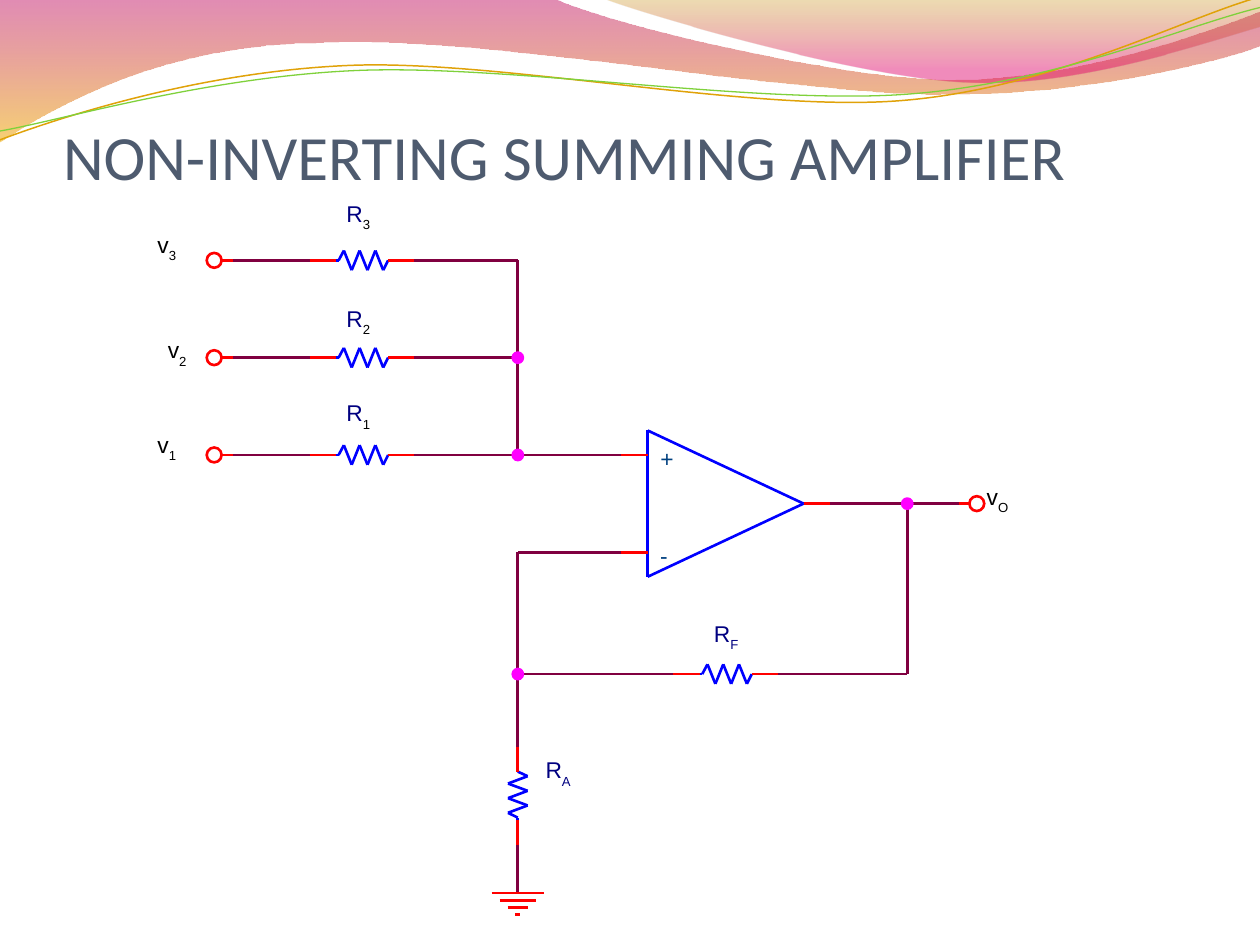
import math
from itertools import pairwise

from lxml import etree
from pptx import Presentation
from pptx import util as u
from pptx.dml.color import RGBColor
from pptx.enum import shapes, text
from pptx.oxml.ns import qn

SLATE = RGBColor(0x4E, 0x5B, 0x6F)
WIRE = RGBColor(0x80, 0x00, 0x40)
RED = RGBColor(0xFF, 0x00, 0x00)
BLUE = RGBColor(0x00, 0x00, 0xFF)
MAGENTA = RGBColor(0xFF, 0x00, 0xFF)
NAVY = RGBColor(0x00, 0x00, 0x80)
TEAL = RGBColor(0x00, 0x40, 0x80)
BLACK = RGBColor(0x00, 0x00, 0x00)
CRIMSON = RGBColor(0xBD, 0x00, 0x59)
AMBER = RGBColor(0xF0, 0xAB, 0x00)
OCHRE = RGBColor(0xC3, 0x8B, 0x00)
PINK = RGBColor(0xE1, 0x00, 0x6B)
GOLD = RGBColor(0xE0, 0xA2, 0x09)
GREEN = RGBColor(0x7F, 0xD1, 0x3B)

# Circuit grid, in points
ROW = 55.6
ROW_3, ROW_2, ROW_1, ROW_MINUS = (148.8 + ROW * step for step in range(4))
ROW_OUT = (ROW_1 + ROW_MINUS) / 2
ROW_FEEDBACK, ROW_GROUND = 385.2, 510.4
NODE, AMP_IN, AMP_OUT, OUTPUT = 295.9, 370.1, 459.2, 518.4
LEAD, RESISTOR, RING = 15, 59.8, 8.5
TILT = -2.7


def turn(point, center, degrees):
    """Turn a point clockwise about a center."""
    angle = math.radians(degrees)
    x, y = point[0] - center[0], point[1] - center[1]
    return (center[0] + x * math.cos(angle) - y * math.sin(angle),
            center[1] + x * math.sin(angle) + y * math.cos(angle))


class Circuit:
    font = "Arial"
    size = 13
    weight = 1.5

    def __init__(self, page):
        self.page = page

    def title(self, words):
        box = self.page.shapes.title
        box.left, box.top, box.width, box.height = map(u.Pt, (36, 11.9, 648, 98.6))
        frame = box.text_frame
        frame.auto_size = text.MSO_AUTO_SIZE.NONE
        frame.vertical_anchor = text.MSO_ANCHOR.BOTTOM
        frame.margin_left = frame.margin_right = frame.margin_bottom = 0
        para = frame.paragraphs[0]
        para.alignment = text.PP_ALIGN.LEFT
        self.span(para, words, SLATE, "Calibri", 36)

    def span(self, para, words, color, font=None, size=None):
        span = para.add_run()
        span.text = words
        span.font.name = font or self.font
        span.font.size = u.Pt(size or self.size)
        span.font.color.rgb = color
        return span

    def label(self, x, y, words, color, below="", below_color=None, width=14.5, height=15.8):
        box = self.page.shapes.add_textbox(*map(u.Pt, (x, y, width, height)))
        frame = box.text_frame
        frame.margin_left = frame.margin_top = frame.margin_right = frame.margin_bottom = 0
        frame.word_wrap = False
        frame.auto_size = text.MSO_AUTO_SIZE.SHAPE_TO_FIT_TEXT
        para = frame.paragraphs[0]
        self.span(para, words, color)
        if below:
            span = self.span(para, below, below_color or color)
            span.font._element.set("baseline", "-32000")

    def outline(self, start, segments, closed=False):
        """Draw lines (one point) and cubic curves (three points)."""
        builder = self.page.shapes.build_freeform(*map(u.Pt, start))
        points = [tuple(map(u.Pt, point)) for segment in segments for point in segment]
        builder.add_line_segments(points, close=closed)
        shape = builder.convert_to_shape()
        shape.shadow.inherit = False
        steps = iter(list(shape.element.iter(qn("a:lnTo"))))
        for segment in segments:
            parts = [next(steps) for _ in segment]
            if len(parts) == 3:
                curve = etree.Element(qn("a:cubicBezTo"))
                parts[0].addprevious(curve)
                for part in parts:
                    curve.append(part[0])
                    part.getparent().remove(part)
        return shape

    def band(self, start, segments, stops):
        shape = self.outline(start, segments, closed=True)
        shape.line.fill.background()
        shape.fill.gradient()
        shape.fill.gradient_angle = 270
        for stop, (position, color, _) in zip(shape.fill.gradient_stops, stops):
            stop.position = position
            stop.color.rgb = color
        colors = shape.element.spPr.iter(qn("a:srgbClr"))
        for element, (_, _, opacity) in zip(colors, stops):
            etree.SubElement(element, qn("a:alpha"), val=str(opacity * 1000))

    def ripple(self, center, start, segments, color, weight):
        level = [[turn(point, center, -TILT) for point in segment] for segment in segments]
        shape = self.outline(turn(start, center, -TILT), level)
        shape.rotation = TILT
        shape.fill.background()
        shape.line.color.rgb = color
        shape.line.width = u.Pt(weight)

    def line(self, color, *points):
        for start, end in pairwise(points):
            link = self.page.shapes.add_connector(
                shapes.MSO_CONNECTOR.STRAIGHT, *map(u.Pt, (*start, *end)))
            link.line.color.rgb = color
            link.line.width = u.Pt(self.weight)
            etree.SubElement(link.element.spPr, qn("a:effectLst"))

    def circle(self, x, y, size, color, filled=False):
        shape = self.page.shapes.add_shape(
            shapes.MSO_SHAPE.OVAL, *map(u.Pt, (x - size / 2, y - size / 2, size, size)))
        shape.shadow.inherit = False
        shape.line.color.rgb = color
        shape.line.width = u.Pt(self.weight)
        if filled:
            shape.fill.solid()
            shape.fill.fore_color.rgb = color
        else:
            shape.fill.background()

    def resistor(self, x, y, upward=False):
        def place(along, across):
            return (x + across, y - along * ROW / RESISTOR) if upward else (x + along, y + across)

        peaks = [place(19.5 + 4.5 * peak, 5.6 if peak % 2 else -5.6) for peak in range(6)]
        self.line(RED, place(0, 0), place(LEAD, 0))
        self.line(BLUE, place(LEAD, 0), place(16.5, 0), *peaks, place(RESISTOR - LEAD, 0))
        self.line(RED, place(RESISTOR - LEAD, 0), place(RESISTOR, 0))


def draw_waves(art):
    art.band((0, -0.7), [
        [(316.8, -0.7)],
        [(342.7, 12.2), (478.1, 45.4), (545.8, 45.4)],
        [(614.2, 45.4), (689.8, 18.7), (720, 6.5)],
        [(720.7, 25.9)],
        [(707.8, 31.7), (626.4, 54.7), (537.1, 54)],
        [(447.8, 54), (275, 20.2), (185, 24.5)],
        [(92.9, 25.2), (33.1, 59.8), (-0.7, 81.4)],
    ], [(0, CRIMSON, 45), (1, AMBER, 55)])
    art.band((344.9, -0.7), [
        [(366.5, 7.9), (491, 44.6), (553.7, 46.8)],
        [(616.3, 49.7), (691.9, 23), (720, 15.1)],
        [(720, 0)],
    ], [(0, OCHRE, 30), (0.8, PINK, 45)])
    art.ripple((359.3, 41.4), (0, 79.9), [
        [(34.6, 67), (113.8, 41), (199.4, 37.4)],
        [(284.4, 33.8), (427, 64.1), (513.4, 57.6)],
        [(599.8, 51.1), (675.4, 10.8), (718.6, -1.4)],
    ], GOLD, 0.85)
    art.ripple((359.6, 42.5), (0, 74.9), [
        [(33.8, 69.1), (118.1, 43.9), (203.8, 40.3)],
        [(290.2, 36.7), (429.8, 59.8), (516.2, 54)],
        [(601.9, 48.2), (675.4, 15.1), (720, 4.3)],
    ], GREEN, 0.75)


def draw_circuit(art):
    # Three inputs, each with its terminal and resistor
    inputs = [("3", ROW_3, 90, 131.8, 114.1), ("2", ROW_2, 95.9, 192, 174.2),
              ("1", ROW_1, 90, 246.1, 228)]
    for number, y, voltage_x, voltage_y, name_y in inputs:
        art.circle(122.4, y, RING, RED)
        art.line(RED, (126.7, y), (133.2, y))
        art.line(WIRE, (133.2, y), (177, y))
        art.resistor(177, y)
        art.line(WIRE, (177 + RESISTOR, y), (NODE, y))
        art.label(voltage_x, voltage_y, "v", BLACK, number, width=11.5)
        art.label(198, name_y, "R", NAVY, number, BLACK)
    art.line(WIRE, (NODE, ROW_3), (NODE, ROW_2), (NODE, ROW_1), (AMP_IN - LEAD, ROW_1))

    # Amplifier
    art.line(BLUE, (AMP_IN, ROW_OUT + 41.8), (AMP_OUT, ROW_OUT),
             (AMP_IN, ROW_OUT - 41.8), (AMP_IN, ROW_OUT + 41.8))
    for sign, y, width in (("+", ROW_1, 13.7), ("-", ROW_MINUS, 10.1)):
        art.line(RED, (AMP_IN - LEAD, y), (AMP_IN, y))
        art.label(377.3, y - 5.8, sign, TEAL, width=width, height=20.9)

    # Output
    art.line(RED, (AMP_OUT, ROW_OUT), (AMP_OUT + LEAD, ROW_OUT))
    art.line(WIRE, (AMP_OUT + LEAD, ROW_OUT), (OUTPUT, ROW_OUT), (548, ROW_OUT))
    art.line(RED, (548, ROW_OUT), (553.9, ROW_OUT))
    art.circle(558.2, ROW_OUT, RING, RED)
    art.label(563.8, 275.8, "v", BLACK, "O", width=13.7)

    # Feedback loop
    art.line(WIRE, (AMP_IN - LEAD, ROW_MINUS), (NODE, ROW_MINUS),
             (NODE, ROW_FEEDBACK), (384.8, ROW_FEEDBACK))
    art.resistor(384.8, ROW_FEEDBACK)
    art.line(WIRE, (384.8 + RESISTOR, ROW_FEEDBACK), (OUTPUT, ROW_FEEDBACK), (OUTPUT, ROW_OUT))
    art.label(408, 354.2, "R", NAVY, "F")

    # Branch to ground
    art.line(WIRE, (NODE, ROW_FEEDBACK), (NODE, 427))
    art.resistor(NODE, 427 + ROW, upward=True)
    art.line(WIRE, (NODE, 427 + ROW), (NODE, ROW_GROUND))
    art.label(311.8, 432, "R", NAVY, "A")
    for step, half in enumerate((15, 10.4, 5.8, 1.4)):
        y = ROW_GROUND + 4.1 * step
        art.line(RED, (NODE - half, y), (NODE + half, y))

    # Junctions
    for x, y in ((NODE, ROW_2), (NODE, ROW_1), (NODE, ROW_FEEDBACK), (OUTPUT, ROW_OUT)):
        art.circle(x, y, 5.8, MAGENTA, filled=True)


def main():
    deck = Presentation()
    deck.slide_width, deck.slide_height = u.Pt(720), u.Pt(540)
    art = Circuit(deck.slides.add_slide(deck.slide_layouts[5]))
    draw_waves(art)
    art.title("NON-INVERTING SUMMING AMPLIFIER")
    draw_circuit(art)
    deck.save("out.pptx")


if __name__ == "__main__":
    main()
